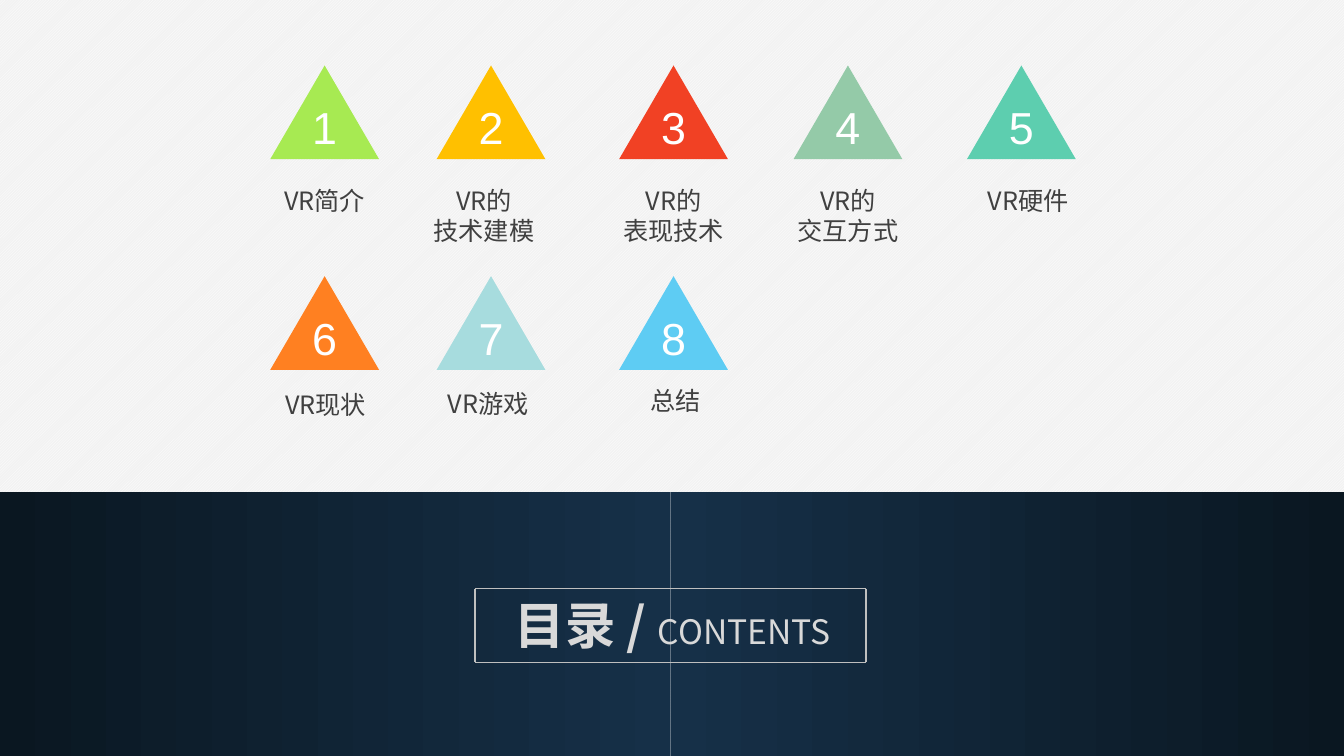
from pptx import Presentation
from pptx.dml.color import RGBColor
from pptx.enum.dml import MSO_PATTERN_TYPE as Pattern
from pptx.enum.shapes import MSO_CONNECTOR as Connector, MSO_SHAPE as Shape
from pptx.enum.text import PP_ALIGN as Align
from pptx.oxml.ns import qn
from pptx.util import Inches, Pt
from lxml.etree import SubElement

COLOURS = {
    "paper": "F2F2F2", "white": "FFFFFF", "navy": "163048", "night": "0A1721",
    "label": "404040", "title": "D9D9D9", "frame": "BFBFBF",
    "lime": "A7EA52", "gold": "FFC000", "red": "F14124", "sage": "94CAA8",
    "teal": "5DCEAF", "orange": "FF8021", "ice": "A7DCDE", "sky": "5ECCF3",
}
LATIN, CHINESE = "Arial", "Noto Sans CJK SC"

# Chapters: label lines, colour, label width, label shift from the column, label top
CHAPTERS = [
    (["VR简介"], "lime", 1.04, 0, 1.79),
    (["VR的", "技术建模"], "gold", 1.24, -0.07, 1.79),
    (["VR的", "表现技术"], "red", 1.24, 0, 1.79),
    (["VR的", "交互方式"], "sage", 1.24, 0, 1.79),
    (["VR硬件"], "teal", 1.04, 0.07, 1.79),
    (["VR现状"], "orange", 1.04, 0.01, 3.81),
    (["VR游戏"], "ice", 1.04, -0.03, 3.8),
    (["总结"], "sky", 0.74, 0.02, 3.77),
]
TITLE = [("目录 / ", 36, True), ("CONTENTS", 24, False)]

# Grid
WIDTH, HEIGHT = 13.33, 7.5
COLUMNS = [3.22, 4.87, 6.68, 8.41, 10.13]
ROWS = [0.65, 2.74]
TRIANGLE = (1.08, 0.93)
NUMBER_BOX = (0.45, 0.64)
BAND_TOP, BAND_SPLIT = 4.88, 6.65
FRAME = (4.71, 5.84, 8.59, 6.57)


def colour(name):
    return RGBColor.from_string(COLOURS[name])


def add_text(page, lines, left, top, width, height, *, font, ink):
    """Each line is a list of (text, size, bold) spans."""
    box = page.shapes.add_textbox(*map(Inches, (left, top, width, height)))
    frame = box.text_frame
    frame.word_wrap = True
    for index, spans in enumerate(lines):
        para = frame.add_paragraph() if index else frame.paragraphs[0]
        para.alignment = Align.CENTER
        for text, size, bold in spans:
            span = para.add_run()
            span.text = text
            span.font.size, span.font.bold = Pt(size), bold
            span.font.color.rgb = colour(ink)
            span.font.name = font
            SubElement(span._r.get_or_add_rPr(), qn("a:ea")).set("typeface", font)


def add_plain(page, kind, left, top, width, height):
    shape = page.shapes.add_shape(kind, *map(Inches, (left, top, width, height)))
    shape.shadow.inherit = False
    shape.line.fill.background()
    return shape


def add_band(page, left, right, rotation):
    band = add_plain(page, Shape.RECTANGLE, left, BAND_TOP, right - left, HEIGHT - BAND_TOP)
    band.rotation = rotation
    band.fill.gradient()
    band.fill.gradient_angle = 0
    for stop, name in zip(band.fill.gradient_stops, ("navy", "night")):
        stop.color.rgb = colour(name)


def add_chapter(page, index, lines, fill, label_width, shift, label_top):
    row, column = divmod(index, len(COLUMNS))
    centre, top = COLUMNS[column], ROWS[row]
    width, height = TRIANGLE
    triangle = add_plain(page, Shape.ISOSCELES_TRIANGLE, centre - width / 2, top, width, height)
    triangle.fill.solid()
    triangle.fill.fore_color.rgb = colour(fill)
    number_width, number_height = NUMBER_BOX
    add_text(page, [[(str(index + 1), 32, False)]], centre - number_width / 2,
             top + height - number_height, number_width, number_height,
             font=LATIN, ink="white")
    add_text(page, [[(line, 18, False)] for line in lines],
             centre + shift - label_width / 2, label_top, label_width,
             0.4 if len(lines) == 1 else 0.71, font=CHINESE, ink="label")


def add_frame(page):
    left, top, right, bottom = FRAME
    corners = [(left, top), (right, top), (right, bottom), (left, bottom)]
    for start, end in zip(corners, corners[1:] + corners[:1]):
        edge = page.shapes.add_connector(Connector.STRAIGHT, *map(Inches, start + end))
        edge.line.color.rgb = colour("frame")
        edge.line.width = Pt(1)
        SubElement(edge._element.spPr, qn("a:effectLst"))


def main():
    deck = Presentation()
    deck.slide_width, deck.slide_height = Inches(WIDTH), Inches(HEIGHT)
    page = deck.slides.add_slide(deck.slide_layouts[6])

    # Striped background
    paper = page.background.fill
    paper.patterned()
    paper.pattern = Pattern.LIGHT_UPWARD_DIAGONAL
    paper.fore_color.rgb = colour("white")
    paper.back_color.rgb = colour("paper")

    # Dark band, lightest at the split
    add_band(page, 0, BAND_SPLIT, 180)
    add_band(page, BAND_SPLIT, WIDTH, 0)

    # Framed title
    add_text(page, [TITLE], 4.86, FRAME[1], 3.62, 0.71, font=CHINESE, ink="title")
    add_frame(page)

    # Chapters
    for index, chapter in enumerate(CHAPTERS):
        add_chapter(page, index, *chapter)

    deck.save("out.pptx")


if __name__ == "__main__":
    main()
